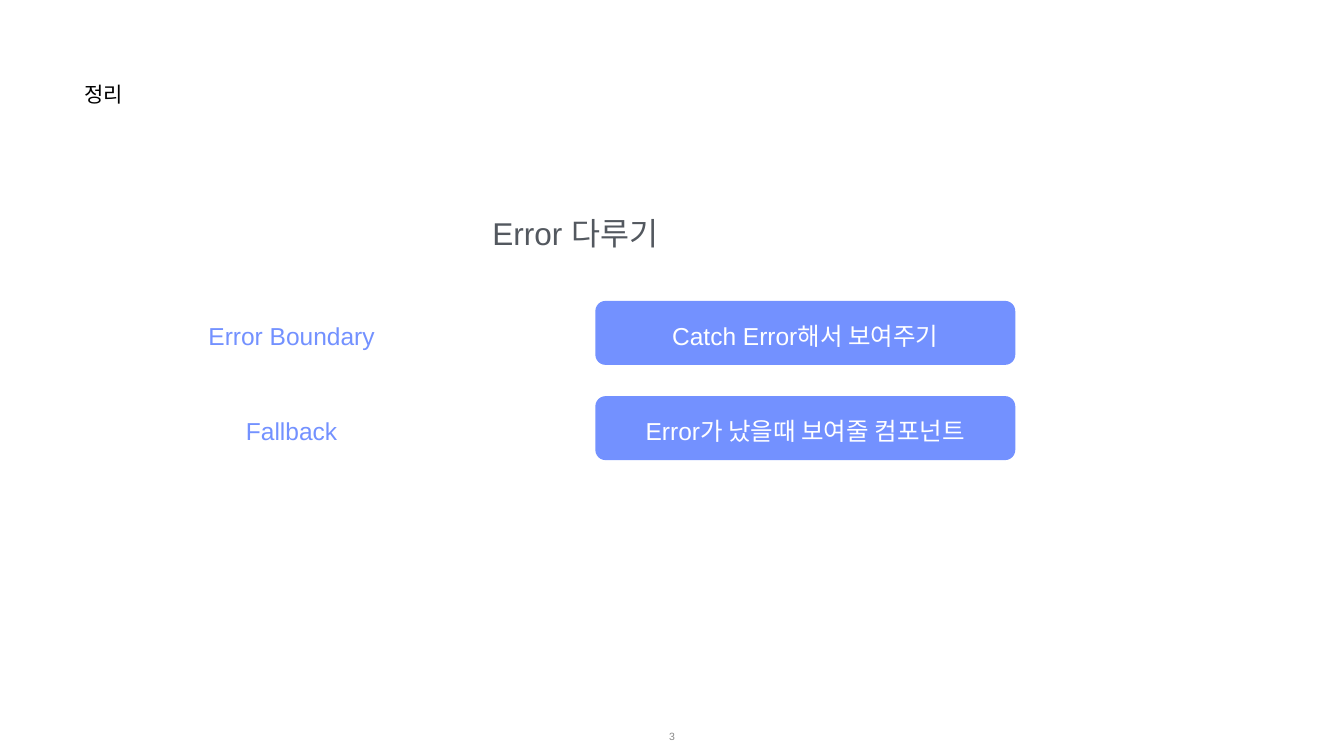
from dataclasses import dataclass

from pptx import Presentation
from pptx.dml.color import RGBColor
from pptx.enum.shapes import MSO_SHAPE as Shape
from pptx.enum.text import MSO_ANCHOR as Anchor, PP_ALIGN as Align
from pptx.util import Inches, Pt


@dataclass(frozen=True)
class Theme:
    font: str = "Arial"
    black: str = "000000"
    gray: str = "53585F"
    pale_gray: str = "888888"
    blue: str = "7391FF"
    white: str = "FFFFFF"
    heading_size: int = 30
    topic_size: int = 45
    row_size: int = 35
    number_size: int = 15


THEME = Theme()
ROWS = [
    ("Error Boundary", "Catch Error해서 보여주기"),
    ("Fallback", "Error가 났을때 보여줄 컴포넌트"),
]


def write_text(shape, text, *, size, color, align=Align.CENTER,
               anchor=Anchor.MIDDLE, inset=0.01, inset_top=None):
    frame = shape.text_frame
    frame.word_wrap = True
    frame.vertical_anchor = anchor
    frame.margin_left = frame.margin_right = frame.margin_bottom = Inches(inset)
    frame.margin_top = Inches(inset if inset_top is None else inset_top)
    para = frame.paragraphs[0]
    para.alignment = align
    span = para.add_run()
    span.text = text
    span.font.name = THEME.font
    span.font.size = Pt(size)
    span.font.color.rgb = RGBColor.from_string(color)


def add_label(page, box, text, **text_format):
    label = page.shapes.add_textbox(*map(Inches, box))
    write_text(label, text, **text_format)


def add_pill(page, box, text):
    """Draw a rounded blue box with white text."""
    pill = page.shapes.add_shape(Shape.ROUNDED_RECTANGLE, *map(Inches, box))
    pill.adjustments[0] = 0.16
    pill.shadow.inherit = False
    pill.fill.solid()
    pill.fill.fore_color.rgb = RGBColor.from_string(THEME.blue)
    pill.line.fill.background()
    write_text(pill, text, size=THEME.row_size, color=THEME.white, inset_top=0.12)


def add_rows(page, box, rows, pill_height=1.27, label_width=6.25, pill_width=8.33):
    """Spread term and meaning pairs evenly down the box."""
    left, top, width, height = box
    pitch = (height - pill_height) / (len(rows) - 1)
    for index, (term, meaning) in enumerate(rows):
        row_top = top + index * pitch
        add_label(page, (left, row_top + 0.38, label_width, 0.62), term,
                  size=THEME.row_size, color=THEME.blue)
        add_pill(page, (left + width - pill_width, row_top, pill_width, pill_height),
                 meaning)


def main():
    deck = Presentation()
    deck.slide_width, deck.slide_height = Inches(26.66), Inches(15)
    page = deck.slides.add_slide(deck.slide_layouts[6])

    add_label(page, (1.67, 1.6, 4.86, 1.18), "정리", size=THEME.heading_size,
              color=THEME.black, align=Align.LEFT, anchor=Anchor.TOP)
    add_label(page, (2.64, 4.24, 17.54, 0.79), "Error 다루기",
              size=THEME.topic_size, color=THEME.gray, anchor=Anchor.TOP)
    add_rows(page, (2.66, 5.97, 17.48, 3.16), ROWS)
    add_label(page, (10.33, 14.21, 6, 0.79), "3", size=THEME.number_size,
              color=THEME.pale_gray, inset=0.05)

    deck.save("out.pptx")


if __name__ == "__main__":
    main()
